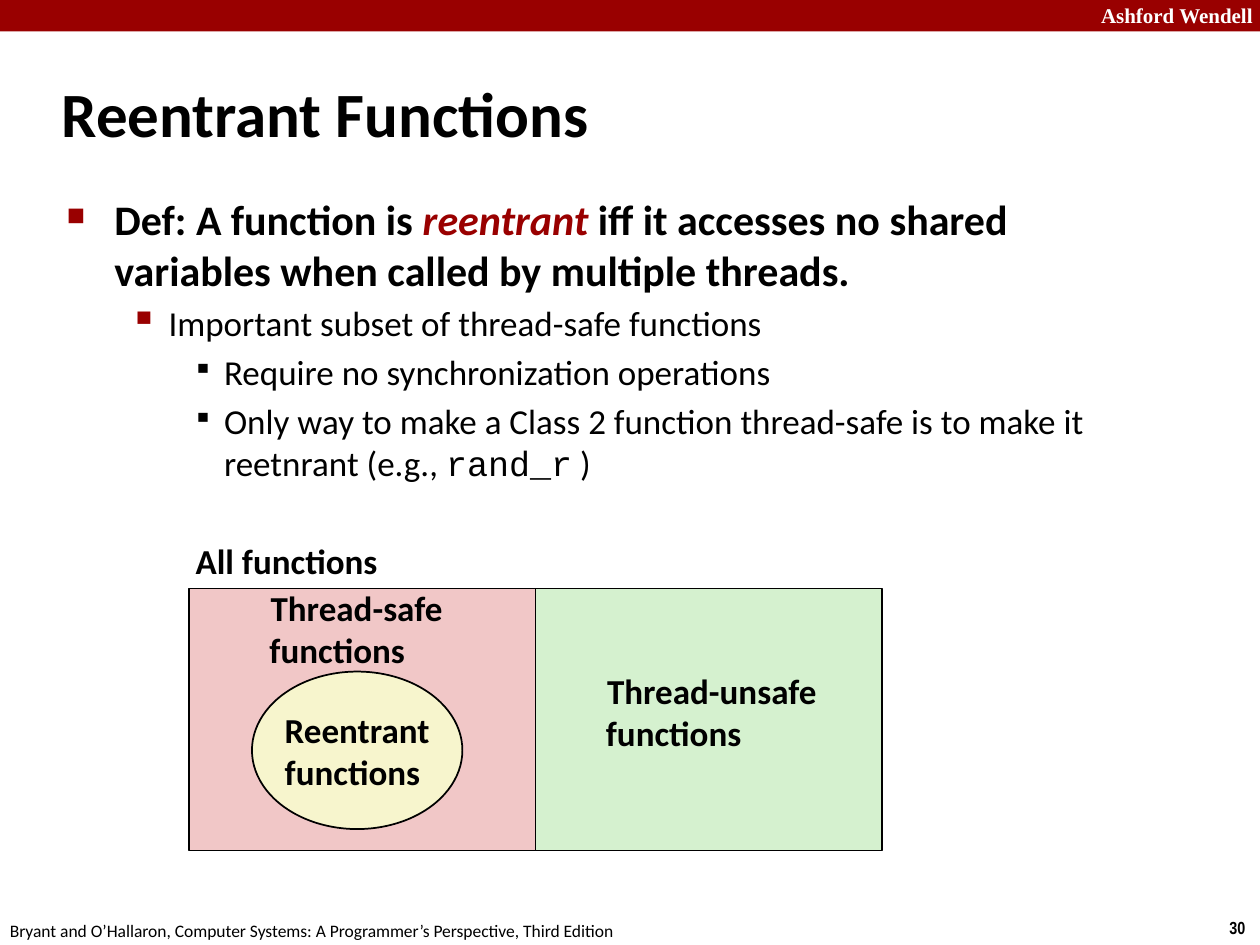
from lxml.etree import SubElement
from pptx import Presentation
from pptx.dml.color import RGBColor
from pptx.enum.shapes import MSO_SHAPE as Preset
from pptx.enum.text import MSO_ANCHOR as Anchor, MSO_AUTO_SIZE as AutoSize, PP_ALIGN as Align
from pptx.oxml.ns import qn
from pptx.util import Inches, Pt

THEME = {
    "accent": "990000", "text": "000000", "light": "FFFFFF",
    "safe": "F1C7C7", "unsafe": "D5F1CF", "reentrant": "F7F5CD",
    "font": "Calibri", "code": "Courier New", "banner": "Times New Roman", "number": "Arial Narrow",
    "title": 36, "lead": 24, "body": 20, "banner_size": 12, "footer": 10,
}

TITLE = "Reentrant Functions"
BULLETS = [
    (0, [("Def: A function is ", {}),
         ("reentrant ", {"color": "accent", "italic": True}),
         ("iff it accesses no shared variables when called by multiple threads.", {})]),
    (1, [("Important subset of thread-safe functions", {})]),
    (2, [("Require no synchronization operations", {})]),
    (2, [("Only way to make a Class 2 function thread-safe is to make it reetnrant (e.g., ", {}),
         ("rand_r", {"font": "code"}),
         (" )", {})]),
]
LEVELS = [
    {"margin": 0.38, "hang": 0.38, "char": "■", "percent": 60, "bullet": "accent", "size": "lead", "bold": True},
    {"margin": 0.81, "hang": 0.31, "char": "▪", "percent": 110, "bullet": "accent", "size": "body", "bold": False},
    {"margin": 1.25, "hang": 0.25, "char": "▪", "percent": 80, "bullet": "text", "size": "body", "bold": False},
]
FURNITURE = [
    ("Ashford Wendell", (8.64, -0.03, 1.43, 0.3),
     {"size": "banner_size", "font": "banner", "color": "light", "bold": True}),
    ("30", (9.66, 7.23, 0.34, 0.27), {"size": "footer", "font": "number", "bold": True}),
    ("Bryant and O’Hallaron, Computer Systems: A Programmer’s Perspective, Third Edition",
     (-0.02, 7.25, 5.08, 0.27), {"size": "footer"}),
]
SET_LEFT, SET_TOP, SET_WIDTH, SET_HEIGHT = 1.5, 4.67, 2.75, 2.08
REGIONS = [
    (Preset.RECTANGLE, (SET_LEFT, SET_TOP, SET_WIDTH, SET_HEIGHT), "safe"),
    (Preset.RECTANGLE, (SET_LEFT + SET_WIDTH, SET_TOP, SET_WIDTH, SET_HEIGHT), "unsafe"),
    (Preset.OVAL, (2, 5.33, 1.67, 1.25), "reentrant"),
]
REENTRANT_LABEL = ["Reentrant", "functions"]
SET_LABELS = [
    (["All functions"], (1.44, 4.23, 1.67, 0.44)),
    (["Thread-unsafe", "functions"], (4.71, 5.26, 1.88, 0.77)),
    (["Thread-safe", "functions"], (2.04, 4.6, 1.58, 0.77)),
]


def color(name):
    return RGBColor.from_string(THEME[name])


def inches(box):
    return [Inches(value) for value in box]


def add_run(paragraph, text, size="body", font="font", color_name="text", bold=False, italic=False):
    run = paragraph.add_run()
    run.text = text
    run.font.size = Pt(THEME[size])
    run.font.name = THEME[font]
    run.font.color.rgb = color(color_name)
    run.font.bold = bold
    run.font.italic = italic


def add_text_box(slide, box, wrap=False):
    frame = slide.shapes.add_textbox(*inches(box)).text_frame
    frame.word_wrap = wrap
    return frame


def add_region(slide, preset, box, fill, outlined=True):
    shape = slide.shapes.add_shape(preset, *inches(box))
    shape.shadow.inherit = False
    shape.fill.solid()
    shape.fill.fore_color.rgb = color(fill)
    if outlined:
        shape.line.color.rgb = color("text")
        shape.line.width = Pt(1)
    else:
        shape.line.fill.background()
    return shape


def write_label(frame, lines):
    frame.word_wrap = False
    frame.vertical_anchor = Anchor.MIDDLE
    for index, line in enumerate(lines):
        paragraph = frame.add_paragraph() if index else frame.paragraphs[0]
        paragraph.alignment = Align.LEFT if index else Align.CENTER
        add_run(paragraph, line, bold=True)


def format_bullet(paragraph, level):
    paragraph.space_before = Pt(THEME[level["size"]] * 0.2)
    properties = paragraph._p.get_or_add_pPr()
    properties.set("marL", str(Inches(level["margin"])))
    properties.set("indent", str(-Inches(level["hang"])))
    bullet_color = SubElement(properties, qn("a:buClr"))
    SubElement(bullet_color, qn("a:srgbClr"), val=THEME[level["bullet"]])
    SubElement(properties, qn("a:buSzPct"), val=str(level["percent"] * 1000))
    SubElement(properties, qn("a:buChar"), char=level["char"])


def add_title(slide):
    title = slide.shapes.title
    title.left, title.top, title.width, title.height = inches((0.39, 0.48, 8.3, 0.83))
    frame = title.text_frame
    frame.auto_size = AutoSize.NONE
    frame.vertical_anchor = Anchor.MIDDLE
    paragraph = frame.paragraphs[0]
    paragraph.alignment = Align.LEFT
    add_run(paragraph, TITLE, size="title", bold=True)


def add_bullets(slide):
    frame = add_text_box(slide, (0.43, 1.49, 8.64, 2.57), wrap=True)
    for index, (depth, runs) in enumerate(BULLETS):
        paragraph = frame.add_paragraph() if index else frame.paragraphs[0]
        paragraph.level = depth
        level = LEVELS[depth]
        format_bullet(paragraph, level)
        for text, style in runs:
            add_run(paragraph, text, level["size"], style.get("font", "font"),
                    style.get("color", "text"), level["bold"], style.get("italic", False))


def add_furniture(slide):
    add_region(slide, Preset.RECTANGLE, (0, 0, 10, 0.25), "accent", outlined=False)
    for text, box, style in FURNITURE:
        frame = add_text_box(slide, box)
        add_run(frame.paragraphs[0], text, style["size"], style.get("font", "font"),
                style.get("color", "text"), style.get("bold", False))


def add_diagram(slide):
    for preset, box, fill in REGIONS:
        region = add_region(slide, preset, box, fill)
    write_label(region.text_frame, REENTRANT_LABEL)
    for lines, box in SET_LABELS:
        write_label(add_text_box(slide, box), lines)


def main():
    presentation = Presentation()
    presentation.slide_width, presentation.slide_height = Inches(10), Inches(7.5)
    slide = presentation.slides.add_slide(presentation.slide_layouts[5])
    add_furniture(slide)
    add_title(slide)
    add_bullets(slide)
    add_diagram(slide)
    presentation.save("out.pptx")


if __name__ == "__main__":
    main()
